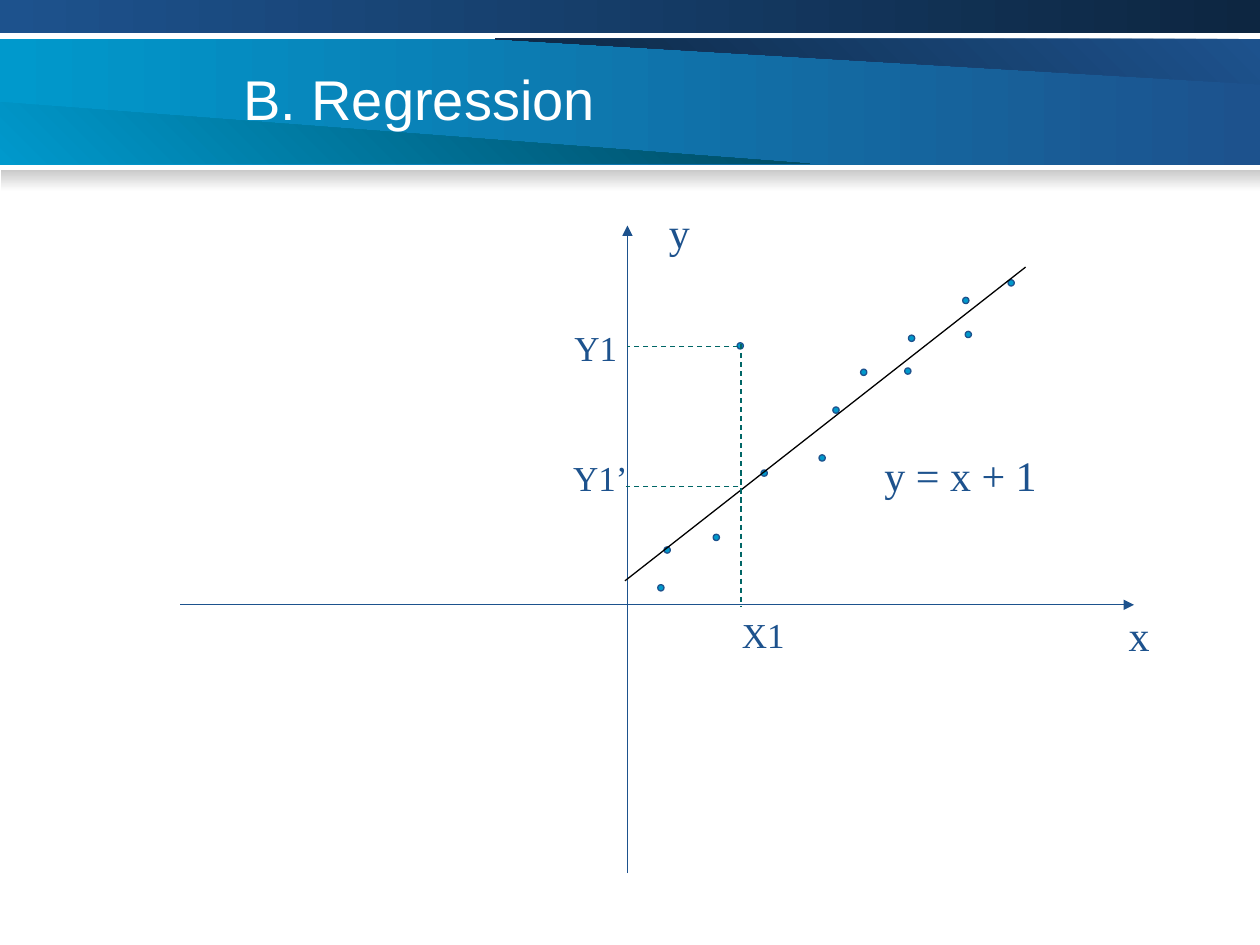
"""Builds a slide that explains regression with a scatter plot and a fitted line."""
import lxml.etree
import pptx
import pptx.dml.color
import pptx.enum.dml
import pptx.enum.shapes
import pptx.enum.text
import pptx.oxml.ns
import pptx.util


def colour(hex_text):
    return pptx.dml.color.RGBColor.from_string(hex_text)


def shade(shape, start, end, angle):
    shape.shadow.inherit = False
    shape.line.fill.background()
    shape.fill.gradient()
    shape.fill.gradient_angle = angle
    for stop, tone in zip(shape.fill.gradient_stops, (start, end)):
        stop.color.rgb = colour(tone)


NAVY, SKY, NIGHT, TEAL, BLACK = "1D528D", "0099CC", "0D2641", "006666", "000000"
presentation = pptx.Presentation()
presentation.slide_width = pptx.util.Inches(10)
presentation.slide_height = pptx.util.Inches(7.5)
column = presentation.slide_width / 100
row = presentation.slide_height / 75
slide = presentation.slides.add_slide(presentation.slide_layouts[5])
shapes = slide.shapes
kinds = pptx.enum.shapes.MSO_SHAPE
hairline = pptx.util.Pt(0.75)

for left, top, width, height, start, end, angle in (
    (0, 3.1, 100, 10, SKY, NAVY, 0),
    (0, 0, 100, 2.6, NAVY, NIGHT, 0),
    (0.1, 13.5, 99.9, 1.7, "CACACA", "FFFFFF", 270),
):
    band = shapes.add_shape(kinds.RECTANGLE, int(left * column), int(top * row),
                            int(width * column), int(height * row))
    shade(band, start, end, angle)

for corners, start, end, angle in (
    (((39.3, 3.1), (100, 6.7), (100, 3.1)), NAVY, NIGHT, 225),
    (((64.3, 13), (0, 8.1), (0, 13)), SKY, "00475E", 45),
):
    points = [(x * column, y * row) for x, y in corners]
    builder = shapes.build_freeform(*points[0])
    builder.add_line_segments(points[1:])
    shade(builder.convert_to_shape(), start, end, angle)

heading = shapes.title
shapes._spTree.append(heading._element)
heading.left, heading.top = int(18.3 * column), int(3 * row)
heading.width, heading.height = int(72.5 * column), int(9.5 * row)
heading.text_frame.text = "B. Regression"
heading.text_frame.vertical_anchor = pptx.enum.text.MSO_ANCHOR.MIDDLE
heading.text_frame.auto_size = pptx.enum.text.MSO_AUTO_SIZE.NONE
heading_line = heading.text_frame.paragraphs[0]
heading_line.alignment = pptx.enum.text.PP_ALIGN.LEFT
heading_line.font.size = pptx.util.Pt(32)
heading_line.font.name = "Arial"
heading_line.font.color.rgb = colour("FFFFFF")

dot_size = 0.5
for left, top in (
    (65, 36.1), (60.4, 37.3), (58.5, 27.2), (56.6, 42.4), (66.1, 32.3),
    (68.3, 29.3), (52.7, 43.4), (71.8, 29.2), (72.1, 26.6), (76.6, 26.3),
    (52.2, 46.4), (76.4, 23.6), (80, 22.2),
):
    dot = shapes.add_shape(kinds.OVAL, int(left * column), int(top * row),
                           int(dot_size * column), int(dot_size * row))
    dot.shadow.inherit = False
    dot.fill.solid()
    dot.fill.fore_color.rgb = colour(SKY)
    dot.line.color.rgb = colour(NAVY)
    dot.line.width = hairline

for x1, y1, x2, y2, tone, style in (
    (14.3, 48, 90, 48, NAVY, "arrow"),
    (49.8, 69.3, 49.8, 17.9, NAVY, "arrow"),
    (49.6, 46.1, 81.4, 21.2, BLACK, "plain"),
    (58.8, 27.3, 58.8, 48.2, TEAL, "dash"),
    (58.6, 27.5, 49.8, 27.5, TEAL, "dash"),
    (58.6, 38.6, 49.7, 38.6, TEAL, "dash"),
):
    stroke = shapes.add_connector(pptx.enum.shapes.MSO_CONNECTOR.STRAIGHT,
                                  int(x1 * column), int(y1 * row),
                                  int(x2 * column), int(y2 * row))
    stroke.line.color.rgb = colour(tone)
    stroke.line.width = hairline
    if style == "dash":
        stroke.line.dash_style = pptx.enum.dml.MSO_LINE.DASH
    if style == "arrow":
        lxml.etree.SubElement(stroke.line._get_or_add_ln(),
                              pptx.oxml.ns.qn("a:tailEnd"), type="triangle")
    lxml.etree.SubElement(stroke._element.spPr, pptx.oxml.ns.qn("a:effectLst"))

for wording, left, top, width, height, size in (
    ("x", 88.6, 47.9, 3.6, 5, 24),
    ("y", 52.1, 15.9, 3.6, 5, 24),
    ("y = x + 1", 69.2, 35.2, 14.1, 5, 24),
    ("X1", 57.9, 48.2, 5.4, 4.4, 20),
    ("Y1", 44.6, 25.4, 5.4, 4.4, 20),
    ("Y1’", 44.5, 35.7, 6.3, 4.4, 20),
):
    label = shapes.add_textbox(int(left * column), int(top * row),
                               int(width * column), int(height * row)).text_frame
    label.word_wrap = False
    label.auto_size = pptx.enum.text.MSO_AUTO_SIZE.SHAPE_TO_FIT_TEXT
    label.text = wording
    label_font = label.paragraphs[0].font
    label_font.size = pptx.util.Pt(size)
    label_font.name = "Times New Roman"
    label_font.color.rgb = colour(NAVY)

presentation.save("out.pptx")
